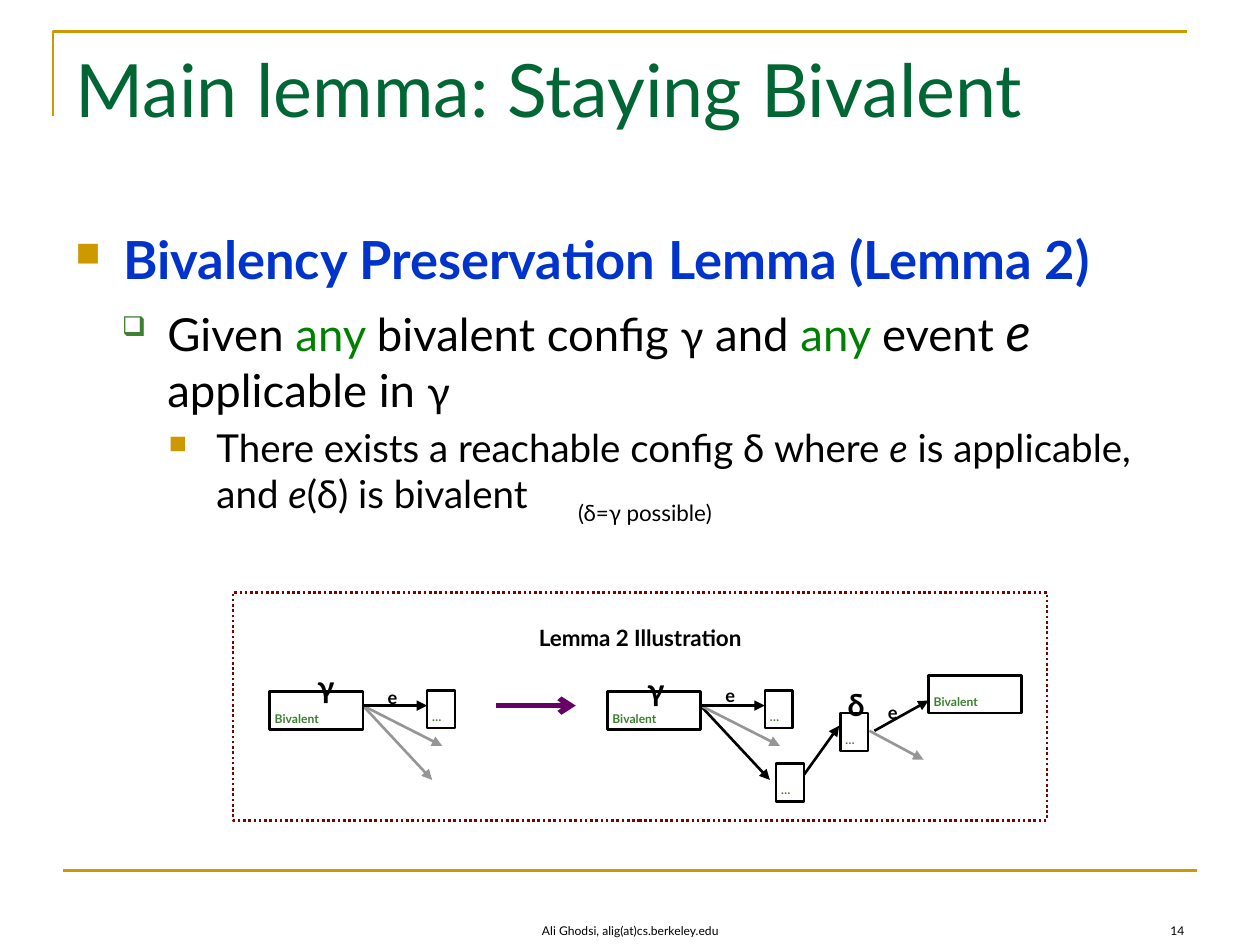
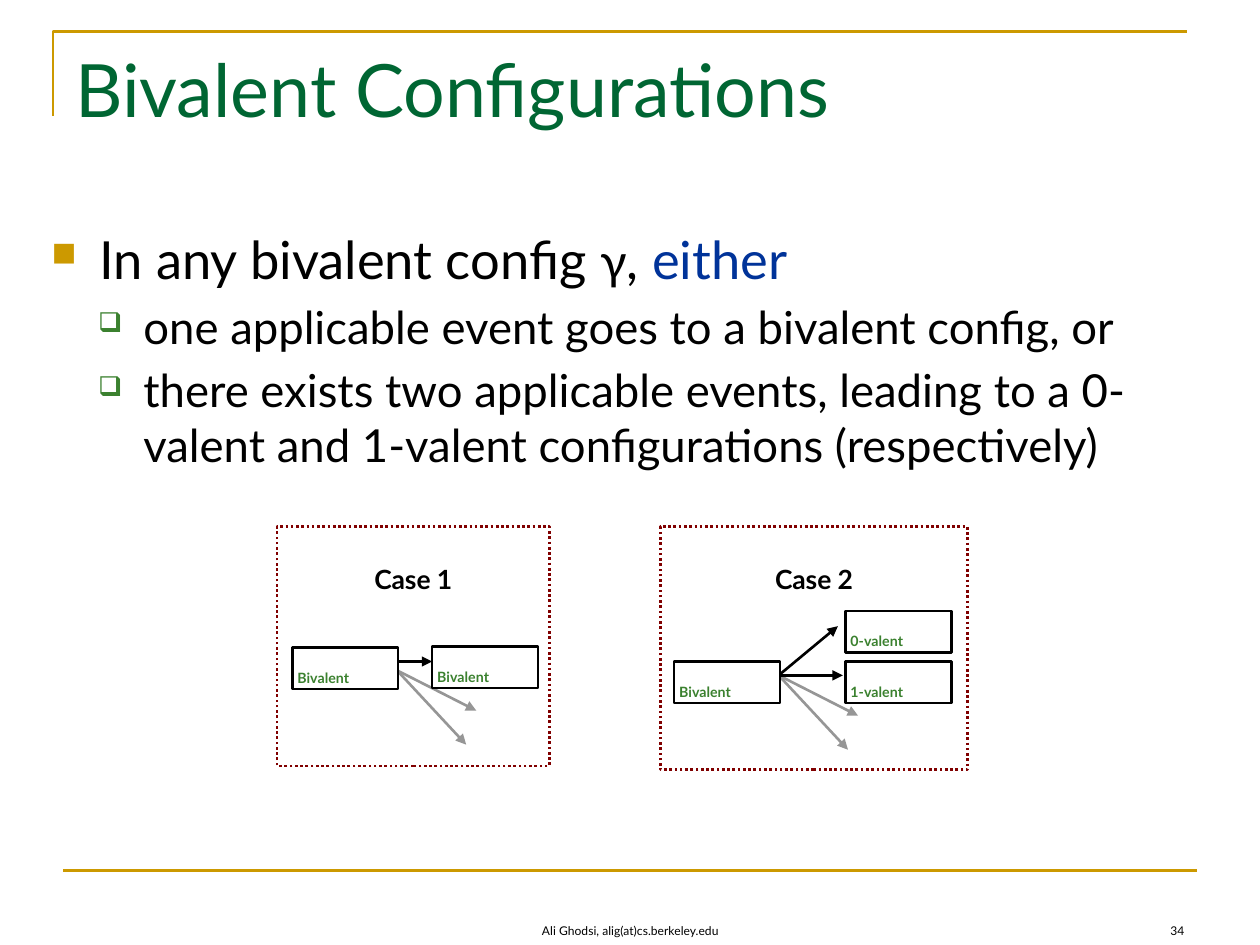
from lxml.etree import SubElement
from pptx import Presentation
from pptx.dml.color import RGBColor
from pptx.enum.dml import MSO_LINE
from pptx.enum.shapes import MSO_CONNECTOR as CONN, MSO_SHAPE as SHAPE
from pptx.enum.text import MSO_ANCHOR as ANCHOR, PP_ALIGN as ALIGN
from pptx.oxml.ns import qn
from pptx.util import Inches, Pt

# Shared look
FONT = "Lato"
BLACK, WHITE, GREY = "000000", "FFFFFF", "969696"
GOLD, GREEN, LEAF, PURPLE, MAROON = "CC9900", "006633", "3B812F", "660066", "800000"
BLUE, NAVY, ANY = "0033CC", "003399", "008000"
LOWERED = -25000  # diagram and footer text sits below the baseline
# Outline levels: left margin, hanging indent, bullet, colour, bullet size, text size
LEVELS = [(3.8, 3.8, "■", GOLD, 65, 30),
          (7.3, 3.6, "❑", LEAF, 60, 26),
          (11.2, 3.8, "■", GOLD, 65, 22)]
COLS, ROWS = 100, 75  # the slide is a grid of square cells


def cells(n):
    return Inches(n / 10)


def rgb(value):
    return RGBColor.from_string(value)


# Text
def add_text(p, text, size=12, color=BLACK, bold=False, italic=False, lowered=False):
    r = p.add_run()
    r.text = text
    f = r.font
    f.name, f.size, f.bold, f.italic = FONT, Pt(size), bold, italic
    f.color.rgb = rgb(color)
    if lowered:
        r.font.element.set("baseline", str(LOWERED)) if hasattr(r.font, "element") else \
            p.runs[-1]._r.get_or_add_rPr().set("baseline", str(LOWERED))


def set_frame(tf, inset=(1, 0.5), wrap=True, anchor=ANCHOR.TOP):
    tf.word_wrap, tf.vertical_anchor = wrap, anchor
    tf.margin_left = tf.margin_right = cells(inset[0])
    tf.margin_top = tf.margin_bottom = cells(inset[1])


def text_box(s, x, y, w, h, text, align=ALIGN.LEFT, anchor=ANCHOR.TOP, **fmt):
    tf = s.shapes.add_textbox(*map(cells, (x, y, w, h))).text_frame
    set_frame(tf, anchor=anchor)
    tf.paragraphs[0].alignment = align
    add_text(tf.paragraphs[0], text, **fmt)


def outline(s, x, w, items):
    """Bulleted body; each item is a level and its (text, format) runs."""
    tf = s.shapes.add_textbox(*map(cells, (x, 17.5, w, 51))).text_frame
    set_frame(tf)
    for i, (level, runs) in enumerate(items):
        margin, hang, mark, color, share, size = LEVELS[level]
        p = tf.add_paragraph() if i else tf.paragraphs[0]
        p.level = level
        if i:
            p.space_before = Pt(size * 0.2)
        pPr = p._p.get_or_add_pPr()
        pPr.set("marL", str(cells(margin)))
        pPr.set("indent", str(-cells(hang)))
        SubElement(SubElement(pPr, qn("a:buClr")), qn("a:srgbClr"), val=color)
        SubElement(pPr, qn("a:buSzPct"), val=str(share * 1000))
        SubElement(pPr, qn("a:buChar"), char=mark)
        for text, fmt in runs:
            add_text(p, text, **{"size": size, **fmt})


# Boxes and arrows
def box(s, x, y, w, h, text, fill=None, line=None, dash=None, inset=(1, 0.5),
        wrap=True, align=ALIGN.LEFT, **fmt):
    sp = s.shapes.add_shape(SHAPE.RECTANGLE, *map(cells, (x, y, w, h)))
    sp.shadow.inherit = False
    if fill:
        sp.fill.solid()
        sp.fill.fore_color.rgb = rgb(fill)
    else:
        sp.fill.background()
    if line:
        sp.line.color.rgb, sp.line.width = rgb(line), Pt(1.5)
    else:
        sp.line.fill.background()
    if dash:
        sp.line.dash_style = dash
    set_frame(sp.text_frame, inset, wrap)
    p = sp.text_frame.paragraphs[0]
    p.alignment = align
    add_text(p, text, bold=True, lowered=True, **fmt)


def frame(s, x, y, w, h, caption, size):
    box(s, x, y, w, h, caption, line=MAROON, dash=MSO_LINE.ROUND_DOT,
        align=ALIGN.CENTER, size=size)


def state(s, x, y, label="…", w=2.2, h=3, size=12):
    box(s, x, y, w, h, label, fill=WHITE, line=BLACK, inset=(0.4, 0.4),
        wrap=False, size=size, color=LEAF)


def event(s, x, y, fill=WHITE):
    box(s, x, y, 3.9, 3, "e", fill=fill, inset=(0, 0), align=ALIGN.CENTER, size=18)


def config(s, x, y, symbol, top=0.5):
    box(s, x, y, 3.3, 4.2, symbol, fill=WHITE, inset=(1, top), wrap=False, size=30)


def line(s, x1, y1, x2, y2, color=BLACK, width=1.5, head="triangle"):
    c = s.shapes.add_connector(CONN.STRAIGHT, *map(cells, (x1, y1, x2, y2)))
    c.line.color.rgb, c.line.width = rgb(color), Pt(width)
    spPr = c._element.spPr
    if head:
        SubElement(spPr.find(qn("a:ln")), qn("a:tailEnd"), type=head)
    SubElement(spPr, qn("a:effectLst"))


def fan(s, x, y, steep=GREY):
    """Two further events leaving a state."""
    line(s, x, y, x + 5.5, y + 5.9, steep)
    line(s, x, y, x + 6.3, y + 3.2, GREY)


# Shared slide parts
def new_slide(prs, title, number):
    s = prs.slides.add_slide(prs.slide_layouts[6])
    corner = s.shapes.build_freeform(cells(4.2), cells(9.2))
    corner.add_line_segments([(cells(4.2), cells(2.5)), (cells(94.2), cells(2.5))],
                             close=False)
    sp = corner.convert_to_shape()
    sp.shadow.inherit = False
    sp.fill.background()
    sp.line.color.rgb, sp.line.width = rgb(GOLD), Pt(1.5)
    line(s, 5, 69.1, COLS - 5, 69.1, GOLD, head=None)
    for x, w, text, align in ((34.2, 31.7, "Ali Ghodsi, alig(at)cs.berkeley.edu", ALIGN.CENTER),
                              (71.7, 23.3, str(number), ALIGN.RIGHT)):
        text_box(s, x, 69.9, w, 5, text, align, ANCHOR.BOTTOM, lowered=True)
    text_box(s, 5, 3, COLS - 10, 12.5, title, size=42, color=GREEN)
    return s


def lemma_slide(prs):
    s = new_slide(prs, "Main lemma: Staying Bivalent", 14)
    any_, gamma, e = {"color": ANY}, {"size": 24}, {"italic": True}
    outline(s, 5, 90, [
        (0, [("Bivalency Preservation Lemma (Lemma 2)", {"color": BLUE, "bold": True})]),
        (1, [("Given ", {}), ("any ", any_), ("bivalent config ", {}), ("γ", gamma),
             (" and ", {}), ("any ", any_), ("event ", {}),
             ("e", {"size": 30, "italic": True}), (" applicable in ", {}), ("γ", gamma)]),
        (2, [("There exists a reachable config δ where ", {}), ("e", e),
             (" is applicable, and ", {}), ("e", e), ("(δ) is bivalent", {})]),
    ])
    # Before: one event e; after: e is applied later, from δ
    for x, steep in ((21.4, GREY), (48.2, BLACK)):
        fan(s, x + 7.4, 56, steep)
        state(s, x, 54.9, "Bivalent", 7.4)
        state(s, x + 12.5, 54.8)
        event(s, x + 7.8, 52.8 if steep == GREY else 52.6)
        line(s, x + 7.4, 56, x + 12.5, 56)
    state(s, 61.6, 60.6)
    line(s, 63.8, 61.5, 66.6, 57.6)
    state(s, 66.7, 56.6)
    line(s, 69, 58, 73.3, 60.3, GREY)
    line(s, 69.4, 58, 73.7, 55.6)
    event(s, 68.9, 54, fill=None)
    state(s, 73.7, 53.6, "Bivalent", 7.4)
    line(s, 39.4, 56, 45.7, 56, PURPLE, 3, "arrow")
    config(s, 24.2, 49.7, "γ")
    config(s, 50.4, 50.5, "γ", top=0)
    config(s, 66.3, 51.2, "δ")
    frame(s, 18.5, 47, 64.6, 18.1, "Lemma 2 Illustration", 22)
    text_box(s, 44.9, 37.1, 27.6, 4.7, "(δ=γ possible)", size=22, lowered=True)


def cases_slide(prs):
    s = new_slide(prs, "Bivalent Configurations", 34)
    outline(s, 3.1, 94.5, [
        (0, [("In any bivalent config ", {}), ("γ", {"size": 28}), (", ", {}),
             ("either", {"color": NAVY})]),
        (1, [("one applicable event goes to a bivalent config, or", {})]),
        (1, [("there exists two applicable events, leading to a 0-valent and "
              "1-valent configurations (respectively)", {})]),
    ])
    frame(s, 22, 41.8, 21.6, 19, "Case 1", 26)
    frame(s, 52.4, 41.8, 24.4, 19.3, "Case 2", 26)
    fan(s, 31.5, 53.2)
    fan(s, 61.8, 53.6)
    for ends in ((31.5, 52.5, 34.3, 52.5), (61.8, 53.6, 66.9, 53.6),
                 (61.8, 53.6, 66.5, 49.7)):
        line(s, *ends)
    for x, y, label in ((23.2, 51.4, "Bivalent"), (34.3, 51.3, "Bivalent"),
                        (53.5, 52.5, "Bivalent"), (67.1, 48.5, "0-valent"),
                        (67.1, 52.5, "1-valent")):
        state(s, x, y, label, 8.4, 3.3, 14)


def main():
    prs = Presentation()
    prs.slide_width, prs.slide_height = cells(COLS), cells(ROWS)
    lemma_slide(prs)
    cases_slide(prs)
    prs.save("out.pptx")


if __name__ == "__main__":
    main()
